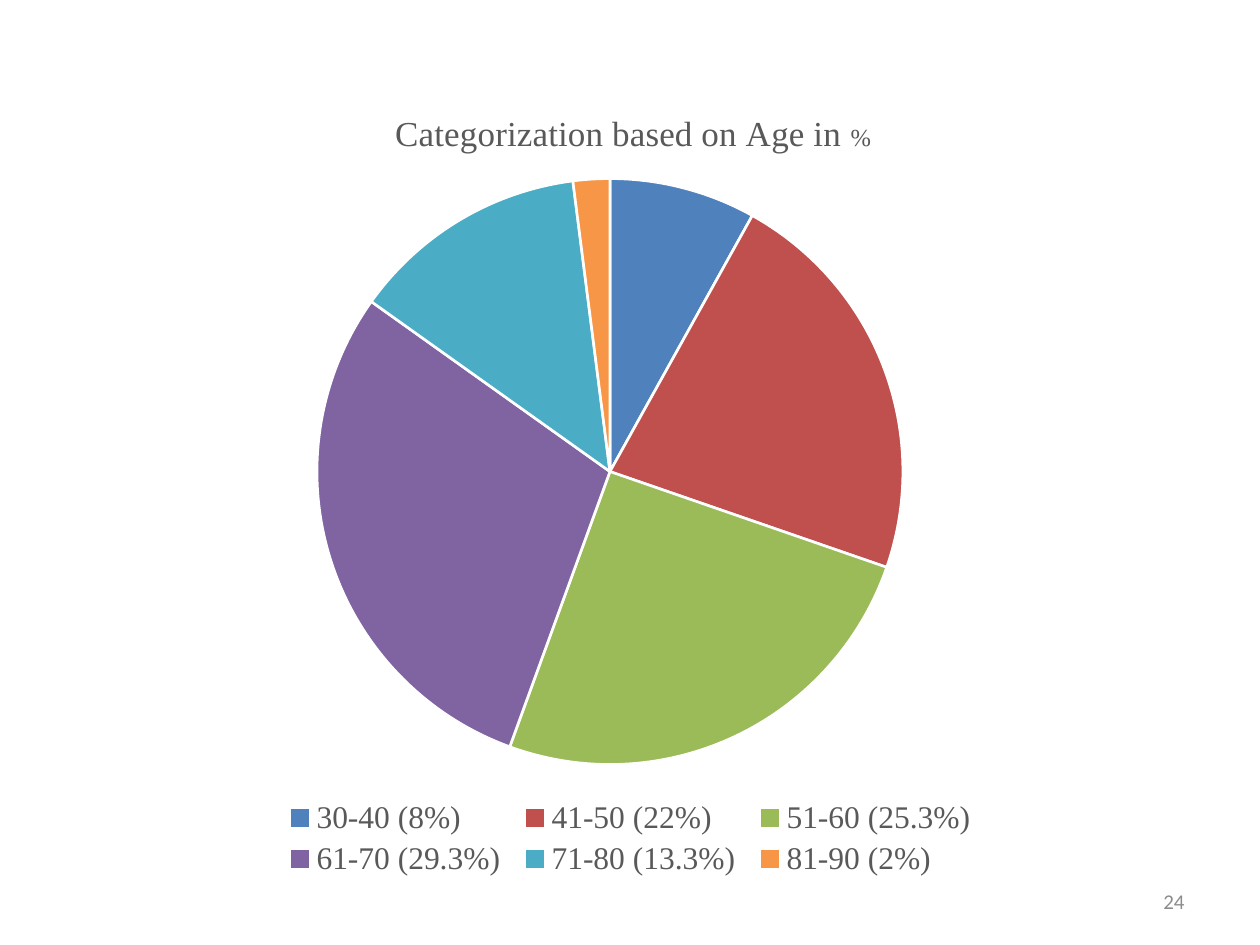
from lxml import etree
from pptx import Presentation
from pptx.chart.data import CategoryChartData as ChartData
from pptx.dml.color import RGBColor
from pptx.enum.chart import XL_CHART_TYPE as Kind, XL_LEGEND_POSITION as Place
from pptx.enum.text import MSO_ANCHOR as Anchor, PP_ALIGN as Align
from pptx.oxml.ns import qn
from pptx.util import Inches, Pt

SERIF = "Times New Roman"
AGES = [
    ("30-40 (8%)", 8, "4F81BD"),
    ("41-50 (22%)", 22, "C0504D"),
    ("51-60 (25.3%)", 25, "9BBB59"),
    ("61-70 (29.3%)", 29, "8064A2"),
    ("71-80 (13.3%)", 13, "4BACC6"),
    ("81-90 (2%)", 2, "F79646"),
]


def tint(color, code):
    color.rgb = RGBColor.from_string(code)


def style(font, name, size, code):
    font.name = name
    font.size = Pt(size)
    font.bold = False
    tint(font.color, code)


def add_run(para, text, name, size, code):
    run = para.add_run()
    run.text = text
    style(run.font, name, size, code)


def set_layout(node, after, **parts):
    for old in node.findall(qn("c:layout")):
        node.remove(old)
    layout = etree.Element(qn("c:layout"))
    manual = etree.SubElement(layout, qn("c:manualLayout"))
    for key, value in parts.items():
        etree.SubElement(manual, qn("c:" + key)).set("val", str(value))
    if after is None:
        node.insert(0, layout)
    else:
        after.addnext(layout)


def add_pie(slide, box):
    data = ChartData()
    data.categories = [age for age, _, _ in AGES]
    data.add_series("Series 1", [share for _, share, _ in AGES])
    chart = slide.shapes.add_chart(Kind.PIE, *map(Inches, box), data).chart
    style(chart.font, "Calibri", 10, "000000")

    chart.has_title = True
    title = chart.chart_title
    para = title.text_frame.paragraphs[0]
    add_run(para, "Categorization based on Age in ", SERIF, 20, "595959")
    add_run(para, "%", SERIF, 14, "595959")
    node = title._element
    set_layout(node, node.find(qn("c:tx")),
               xMode="edge", yMode="edge", x=0.21, y=0.03)
    title.include_in_layout = False

    chart.has_legend = True
    legend = chart.legend
    legend.position = Place.BOTTOM
    legend.include_in_layout = False
    style(legend.font, SERIF, 18, "595959")
    node = legend._element
    set_layout(node, node.find(qn("c:legendPos")), xMode="edge", yMode="edge",
               x=0.07, y=0.87, w=0.86, h=0.11)

    plot = chart.plots[0]
    plot.vary_by_categories = True
    series = plot.series[0]
    for index, (_, _, code) in enumerate(AGES):
        form = series.points[index].format
        form.fill.solid()
        tint(form.fill.fore_color, code)
        form.line.width = Pt(1.5)
        tint(form.line.color, "FFFFFF")
    area = chart._chartSpace.find(".//" + qn("c:plotArea"))
    set_layout(area, None, layoutTarget="inner", xMode="edge", yMode="edge",
               x=0.12, y=0.09, w=0.71, h=0.77)


def add_number(slide, box, text):
    frame = slide.shapes.add_textbox(*map(Inches, box)).text_frame
    frame.word_wrap = True
    frame.vertical_anchor = Anchor.MIDDLE
    para = frame.paragraphs[0]
    para.alignment = Align.RIGHT
    add_run(para, text, "Calibri", 12, "8C8C8C")


def main():
    deck = Presentation()
    deck.slide_width, deck.slide_height = Inches(10), Inches(7.5)
    slide = deck.slides.add_slide(deck.slide_layouts[6])
    add_pie(slide, (1.73, 0.67, 6.55, 6.47))
    add_number(slide, (7.17, 6.95, 2.33, 0.4), "24")
    deck.save("out.pptx")


if __name__ == "__main__":
    main()
